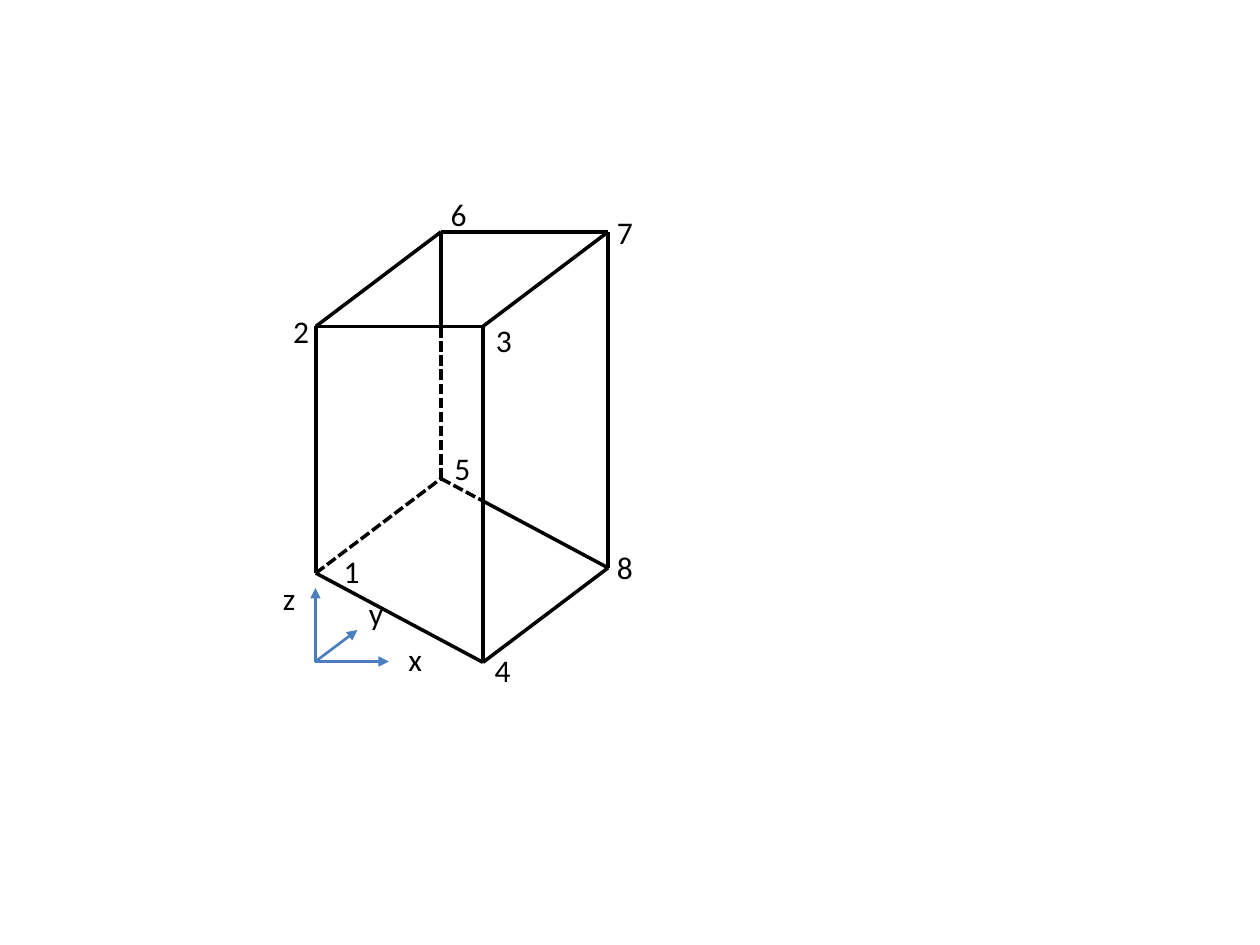
import pptx
import pptx.util
import pptx.dml.color
import pptx.enum.dml
import pptx.enum.shapes
import pptx.enum.text
import pptx.oxml.ns
import lxml.etree

Pt = pptx.util.Pt
BLACK = pptx.dml.color.RGBColor(0x00, 0x00, 0x00)
BLUE = pptx.dml.color.RGBColor(0x4B, 0x7E, 0xBC)
qn = pptx.oxml.ns.qn


def line(slide, start, end, color, width, dash=False, arrow=False):
    kind = pptx.enum.shapes.MSO_CONNECTOR.STRAIGHT
    edge = slide.shapes.add_connector(kind, *map(Pt, start + end))
    edge.line.color.rgb = color
    edge.line.width = Pt(width)
    if dash:
        edge.line.dash_style = pptx.enum.dml.MSO_LINE.SQUARE_DOT
        preset = edge.line._get_or_add_ln().find(qn("a:prstDash"))
        preset.set("val", "sysDash")
    if arrow:
        tail = lxml.etree.SubElement(edge.line._get_or_add_ln(), qn("a:tailEnd"))
        tail.set("type", "triangle")
    lxml.etree.SubElement(edge._element.spPr, qn("a:effectLst"))


def label(slide, text, x, y):
    """Centre a label on the point x, y."""
    wide, high = 30, 29
    box = slide.shapes.add_textbox(Pt(x - wide / 2), Pt(y - high / 2), Pt(wide), Pt(high))
    frame = box.text_frame
    frame.word_wrap = True
    frame.auto_size = pptx.enum.text.MSO_AUTO_SIZE.SHAPE_TO_FIT_TEXT
    frame.text = text
    para = frame.paragraphs[0]
    para.alignment = pptx.enum.text.PP_ALIGN.CENTER
    font = para.runs[0].font
    font.name = "Calibri"
    font.size = Pt(18)
    font.color.rgb = BLACK


def axes(slide, left, base):
    # Name, arrow tip and label centre, from the origin
    for name, tip, mid in [
        ("y", (24, -18), (34.6, -27.4)),
        ("x", (42, 0), (57, -1.4)),
        ("z", (0, -42), (-15, -36)),
    ]:
        end = (left + tip[0], base + tip[1])
        line(slide, (left, base), end, BLUE, 1.5, arrow=True)
        label(slide, name, left + mid[0], base + mid[1])


def prism(slide, left, top, width, height):
    # Front face; the back face is the front moved by the depth
    deep, rise, drop = 71.5, 54, 51
    right, foot = left + width - deep, top + height
    node = {
        "1": (left, foot - drop),
        "2": (left, top + rise),
        "3": (right, top + rise),
        "4": (right, foot),
    }
    for front, back in zip("1234", "5678"):
        x, y = node[front]
        node[back] = (x + deep, y - rise)

    # Points where the hidden edges pass behind the front face
    x5, y5 = node["5"]
    node["a"] = (x5, top + rise)
    node["b"] = (right, y5 + drop * (right - x5) / (right - left))

    for pair in "12 26 34 14 23 67 b8 78 37 48 6a".split():
        line(slide, node[pair[0]], node[pair[1]], BLACK, 2)
    for pair in "15 5b 5a".split():
        line(slide, node[pair[0]], node[pair[1]], BLACK, 2, dash=True)

    # Label offsets from the corners
    shift = {
        "1": (20.4, -1.4), "2": (-8.4, 2.9), "3": (12, 7.9), "4": (11.3, 4.4),
        "5": (12.2, -5.8), "6": (10.1, -10.1), "7": (9.6, 0), "8": (9.6, -0.6),
    }
    for name, (dx, dy) in shift.items():
        x, y = node[name]
        label(slide, name, x + dx, y + dy)


deck = pptx.Presentation()
deck.slide_width, deck.slide_height = Pt(720), Pt(540)
page = deck.slides.add_slide(deck.slide_layouts[6])
axes(page, 180.25, 378)
prism(page, 180.5, 132.5, 167, 246)
deck.save("out.pptx")
